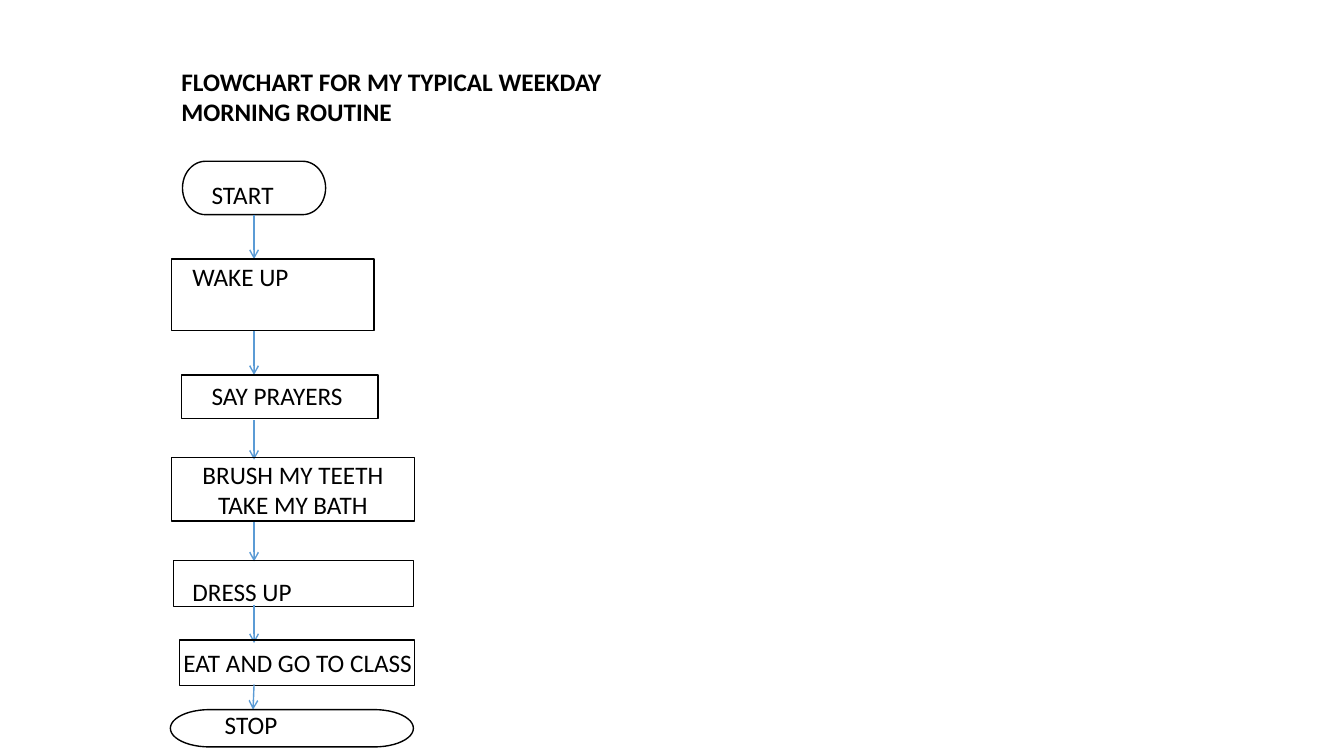
import dataclasses
import typing

import pptx
import pptx.dml.color
import pptx.enum.shapes
import pptx.enum.text
import pptx.oxml
import pptx.oxml.ns
import pptx.util

COLS, ROWS = 1333, 750
WIDTH = pptx.util.Inches(13.33)
HEIGHT = pptx.util.Inches(7.5)
KINDS = pptx.enum.shapes.MSO_SHAPE
BOX = KINDS.FLOWCHART_PROCESS
CAP = KINDS.FLOWCHART_TERMINATOR
BOTTOM = 2


@dataclasses.dataclass(frozen=True)
class Theme:
    font: str = "Calibri"
    size: float = 18
    line: float = 1
    ink: str = "000000"
    arrow: str = "5B9BD5"


class Area(typing.NamedTuple):
    col: int
    row: int
    cols: int
    rows: int


class Link(typing.NamedTuple):
    top: int
    end: int
    start: int = 252
    stop: int = 252
    joined: bool = False


@dataclasses.dataclass(frozen=True)
class Step:
    kind: pptx.enum.shapes.MSO_SHAPE
    area: Area
    lines: tuple[str, ...]
    label: typing.Optional[Area] = None
    grow: bool = True
    link: typing.Optional[Link] = None


THEME = Theme()
TITLE = "FLOWCHART FOR MY TYPICAL WEEKDAY MORNING ROUTINE"
STEPS = (
    Step(CAP, Area(181, 160, 142, 53), ("START",), Area(200, 173, 444, 40),
         link=Link(213, 257, joined=True)),
    Step(BOX, Area(170, 257, 201, 71), ("WAKE UP",), Area(181, 254, 125, 46),
         grow=False, link=Link(328, 372)),
    Step(BOX, Area(180, 372, 195, 43), ("SAY PRAYERS",), Area(200, 372, 444, 40),
         link=Link(417, 456)),
    Step(BOX, Area(170, 454, 241, 63), ("BRUSH MY TEETH", "TAKE MY BATH"),
         link=Link(518, 557)),
    Step(BOX, Area(172, 556, 238, 46), ("DRESS UP",), Area(181, 567, 444, 84),
         grow=False, link=Link(600, 638)),
    Step(BOX, Area(178, 635, 233, 45), ("EAT AND GO TO CLASS",),
         Area(172, 637, 444, 40), link=Link(679, 704, stop=251)),
    Step(CAP, Area(169, 704, 241, 37), ("STOP",), Area(213, 699, 444, 40)),
)


def across(col: int) -> int:
    return round(WIDTH * col / COLS)


def down(row: int) -> int:
    return round(HEIGHT * row / ROWS)


def place(area: Area) -> tuple[int, int, int, int]:
    return across(area.col), down(area.row), across(area.cols), down(area.rows)


def paint(code: str) -> pptx.dml.color.RGBColor:
    return pptx.dml.color.RGBColor.from_string(code)


def write(frame, lines: tuple[str, ...], bold: bool = False, align=None) -> None:
    frame.word_wrap = True
    frame.text = "\n".join(lines)
    for para in frame.paragraphs:
        para.alignment = align
        para.font.name = THEME.font
        para.font.size = pptx.util.Pt(THEME.size)
        para.font.bold = bold
        para.font.color.rgb = paint(THEME.ink)


def add_label(slide, area: Area, lines: tuple[str, ...], grow: bool = True,
              bold: bool = False) -> None:
    frame = slide.shapes.add_textbox(*place(area)).text_frame
    write(frame, lines, bold)
    fit = pptx.enum.text.MSO_AUTO_SIZE
    frame.auto_size = fit.SHAPE_TO_FIT_TEXT if grow else fit.NONE


def add_arrow(slide, link: Link, shape) -> None:
    arrow = slide.shapes.add_connector(
        pptx.enum.shapes.MSO_CONNECTOR.STRAIGHT,
        across(link.start), down(link.top), across(link.stop), down(link.end))
    if link.joined:
        arrow.begin_connect(shape, BOTTOM)
    arrow.line.color.rgb = paint(THEME.arrow)
    arrow.line.width = pptx.util.Pt(THEME.line)
    props = arrow.line._get_or_add_ln()
    head = pptx.oxml.parse_xml(
        f'<a:tailEnd {pptx.oxml.ns.nsdecls("a")} type="arrow"/>')
    props.append(head)
    plain = pptx.oxml.parse_xml(f'<a:effectLst {pptx.oxml.ns.nsdecls("a")}/>')
    props.addnext(plain)


def add_step(slide, step: Step) -> None:
    shape = slide.shapes.add_shape(step.kind, *place(step.area))
    shape.shadow.inherit = False
    shape.fill.background()
    shape.line.color.rgb = paint(THEME.ink)
    shape.line.width = pptx.util.Pt(THEME.line)
    if step.label:
        add_label(slide, step.label, step.lines, step.grow)
    else:
        write(shape.text_frame, step.lines,
              align=pptx.enum.text.PP_ALIGN.CENTER)
        shape.text_frame.vertical_anchor = pptx.enum.text.MSO_ANCHOR.MIDDLE
    if step.link:
        add_arrow(slide, step.link, shape)


def main() -> None:
    deck = pptx.Presentation()
    deck.slide_width = WIDTH
    deck.slide_height = HEIGHT
    slide = deck.slides.add_slide(deck.slide_layouts[6])
    add_label(slide, Area(170, 61, 444, 71), (TITLE,), bold=True)
    for step in STEPS:
        add_step(slide, step)
    deck.save("out.pptx")


if __name__ == "__main__":
    main()
